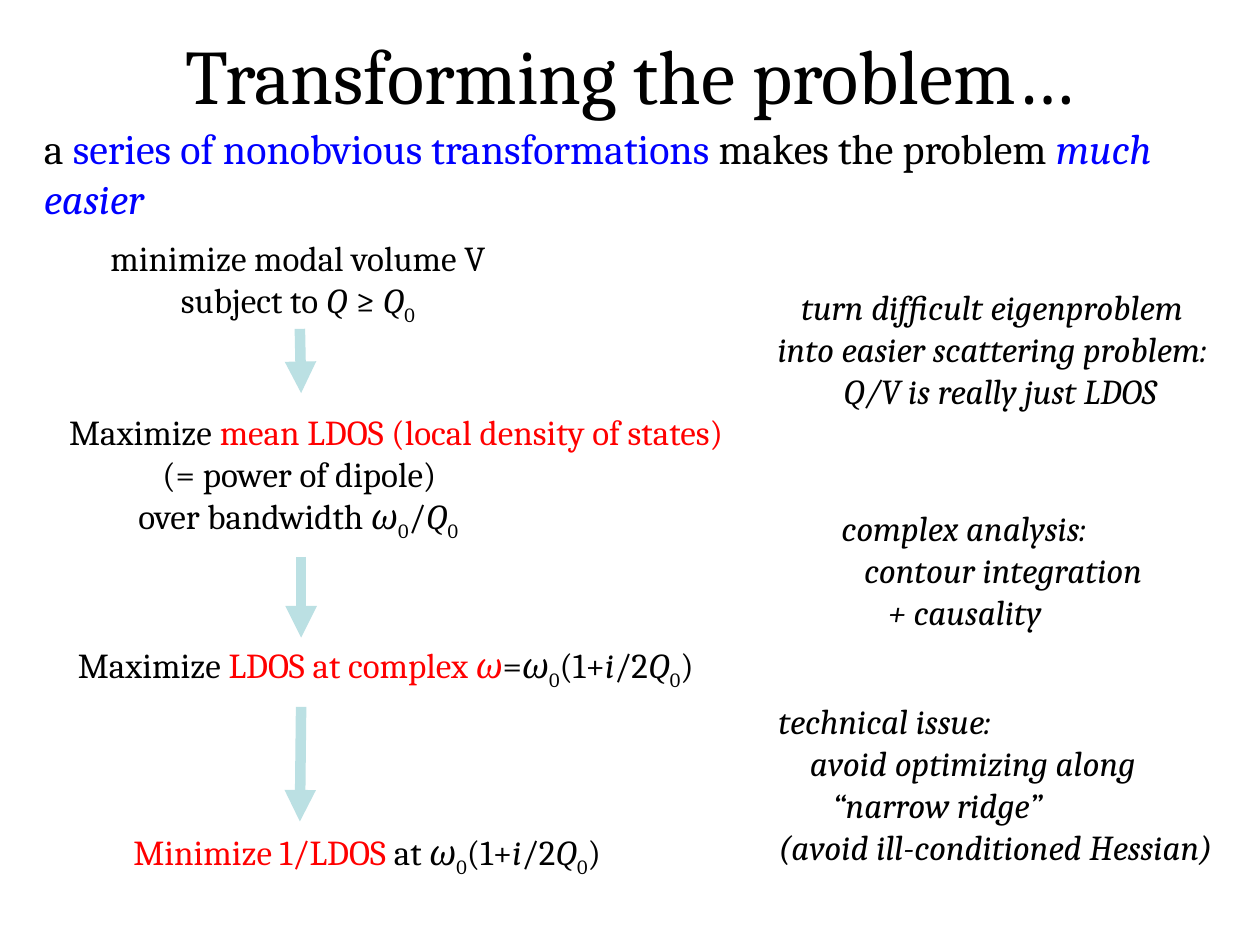
from dataclasses import dataclass

from lxml import etree
from pptx import Presentation
from pptx.dml.color import RGBColor
from pptx.enum.shapes import MSO_CONNECTOR
from pptx.enum.text import MSO_ANCHOR, PP_ALIGN
from pptx.oxml.ns import qn
from pptx.util import Inches, Pt

LEFT, MID = PP_ALIGN.LEFT, PP_ALIGN.CENTER
TOP, CENTER = MSO_ANCHOR.TOP, MSO_ANCHOR.MIDDLE
LINE = MSO_CONNECTOR.STRAIGHT


@dataclass(frozen=True)
class Theme:
    font: str = "Cambria"
    ink: RGBColor = RGBColor(0, 0, 0)
    red: RGBColor = RGBColor(0xFF, 0, 0)
    blue: RGBColor = RGBColor(0, 0, 0xFF)
    arrow: RGBColor = RGBColor(0xBB, 0xE0, 0xE3)
    title: int = 44
    lead: int = 24
    body: int = 20
    stroke: int = 6


THEME = Theme()

# Run flags: i = italic, s = subscript, r = red, b = blue
OMEGA = [("ω", "i"), ("0", "s")]
QZERO = [("Q", "i"), ("0", "s")]
FREQ = [*OMEGA, ("(1+", ""), ("i", "i"), ("/2", ""), *QZERO, (")", "")]


def add_run(para, text, flags):
    run = para.add_run()
    run.text = text
    if "i" in flags:
        run.font.italic = True
    if "r" in flags:
        run.font.color.rgb = THEME.red
    if "b" in flags:
        run.font.color.rgb = THEME.blue
    if "s" in flags:
        run.font._element.set("baseline", "-25000")


def add_text(slide, box, lines, size=THEME.body, align=LEFT, anchor=TOP):
    """Each line is (indent in inches, [(text, flags), ...])."""
    frame = slide.shapes.add_textbox(*map(Inches, box)).text_frame
    frame.word_wrap = True
    frame.vertical_anchor = anchor
    for num, (indent, runs) in enumerate(lines):
        para = frame.add_paragraph() if num else frame.paragraphs[0]
        para.alignment = align
        if indent:
            para._p.get_or_add_pPr().set("marL", str(Inches(indent)))
        para.font.name = THEME.font
        para.font.size = Pt(size)
        para.font.color.rgb = THEME.ink
        for text, flags in runs:
            add_run(para, text, flags)


def add_note(slide, box, lines, align=LEFT):
    add_text(slide, box, [(dent, [(text, "i")]) for dent, text in lines],
             align=align)


def add_arrow(slide, start, end):
    link = slide.shapes.add_connector(LINE, *map(Inches, (*start, *end)))
    link.line.color.rgb = THEME.arrow
    link.line.width = Pt(THEME.stroke)
    etree.SubElement(link.line._get_or_add_ln(), qn("a:tailEnd"),
                     type="triangle")
    etree.SubElement(link._element.spPr, qn("a:effectLst"))


def main():
    deck = Presentation()
    deck.slide_width, deck.slide_height = Inches(10), Inches(7.5)
    slide = deck.slides.add_slide(deck.slide_layouts[6])

    # Heading
    add_text(slide, (0.75, 0.17, 8.5, 0.83),
             [(0, [("Transforming the problem…", "")])],
             THEME.title, MID, CENTER)
    add_text(slide, (0.25, 0.92, 9.7, 0.51),
             [(0, [("a", ""), (" series of nonobvious transformations ", "b"),
                   ("makes the problem ", ""), ("much easier", "bi")])],
             THEME.lead)

    # Chain of problems
    add_text(slide, (0.76, 1.83, 3.21, 0.77),
             [(0, [("minimize modal volume V", "")]),
              (0, [("subject to ", ""), ("Q", "i"), (" ≥ ", ""), *QZERO])],
             align=MID)
    add_text(slide, (0.45, 3.21, 5.5, 1.11),
             [(0, [("Maximize ", ""),
                   ("mean LDOS (local density of states)", "r")]),
              (0.74, [("(= power of dipole)", "")]),
              (0.55, [("over bandwidth ", ""), *OMEGA, ("/", ""), *QZERO])])
    add_text(slide, (0.52, 5.06, 5.24, 0.44),
             [(0, [("Maximize ", ""), ("LDOS at complex ", "r"), ("ω", "ri"),
                   ("=", ""), *FREQ])])
    add_text(slide, (0.96, 6.54, 4.02, 0.44),
             [(0, [("Minimize 1/LDOS", "r"), (" at ", ""), *FREQ])])

    # Arrows between the steps
    for start, end in (((2.38, 2.61), (2.39, 3.12)),
                       ((2.39, 4.42), (2.39, 5.06)),
                       ((2.39, 5.61), (2.38, 6.52))):
        add_arrow(slide, start, end)

    # Notes on each step
    add_note(slide, (6, 2.22, 3.75, 1.11),
             [(0, "turn difficult eigenproblem"),
              (0, "into easier scattering problem:"),
              (0.12, "Q/V is really just LDOS")], MID)
    add_note(slide, (6.58, 3.97, 2.68, 1.11),
             [(0, "complex analysis:"),
              (0.18, "contour integration"),
              (0.37, "+ causality")])
    add_note(slide, (6.08, 5.5, 3.78, 1.45),
             [(0, "technical issue:"),
              (0.25, "avoid optimizing along"),
              (0.43, "“narrow ridge”"),
              (0, "(avoid ill-conditioned Hessian)")])

    deck.save("out.pptx")


if __name__ == "__main__":
    main()
